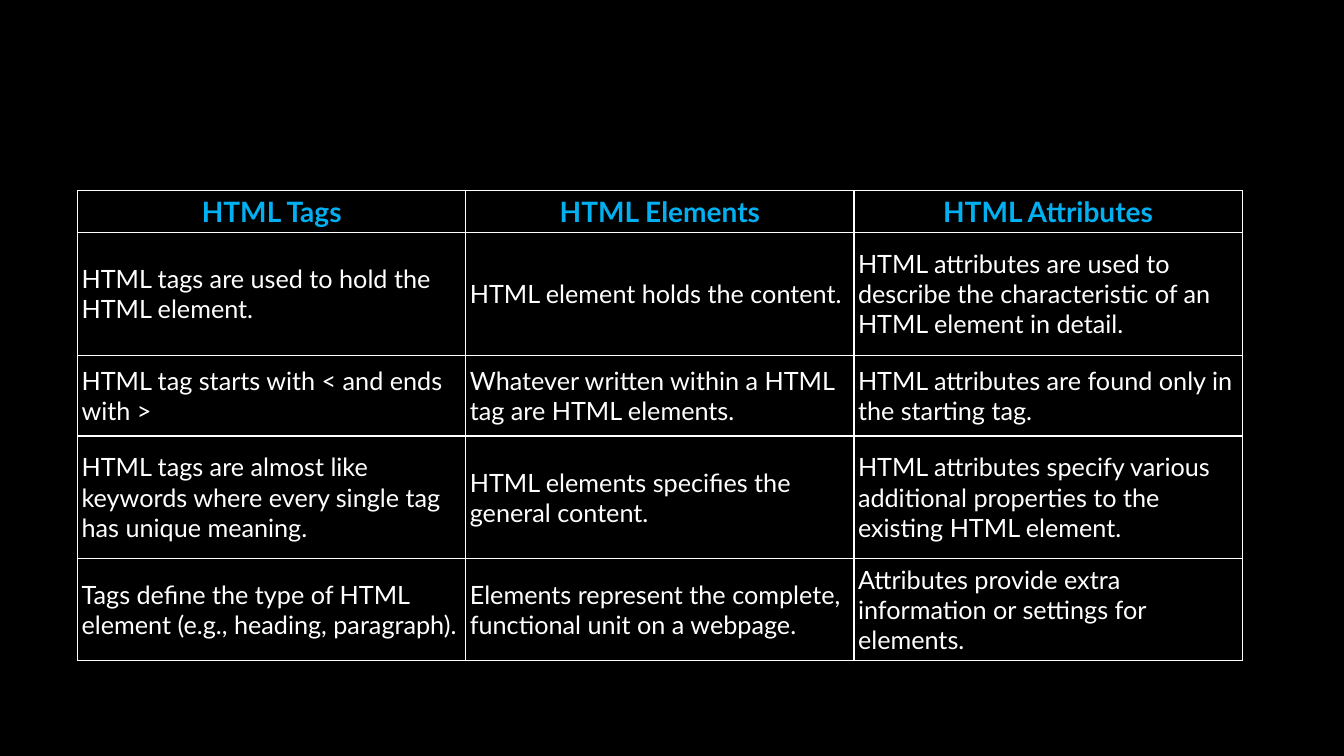
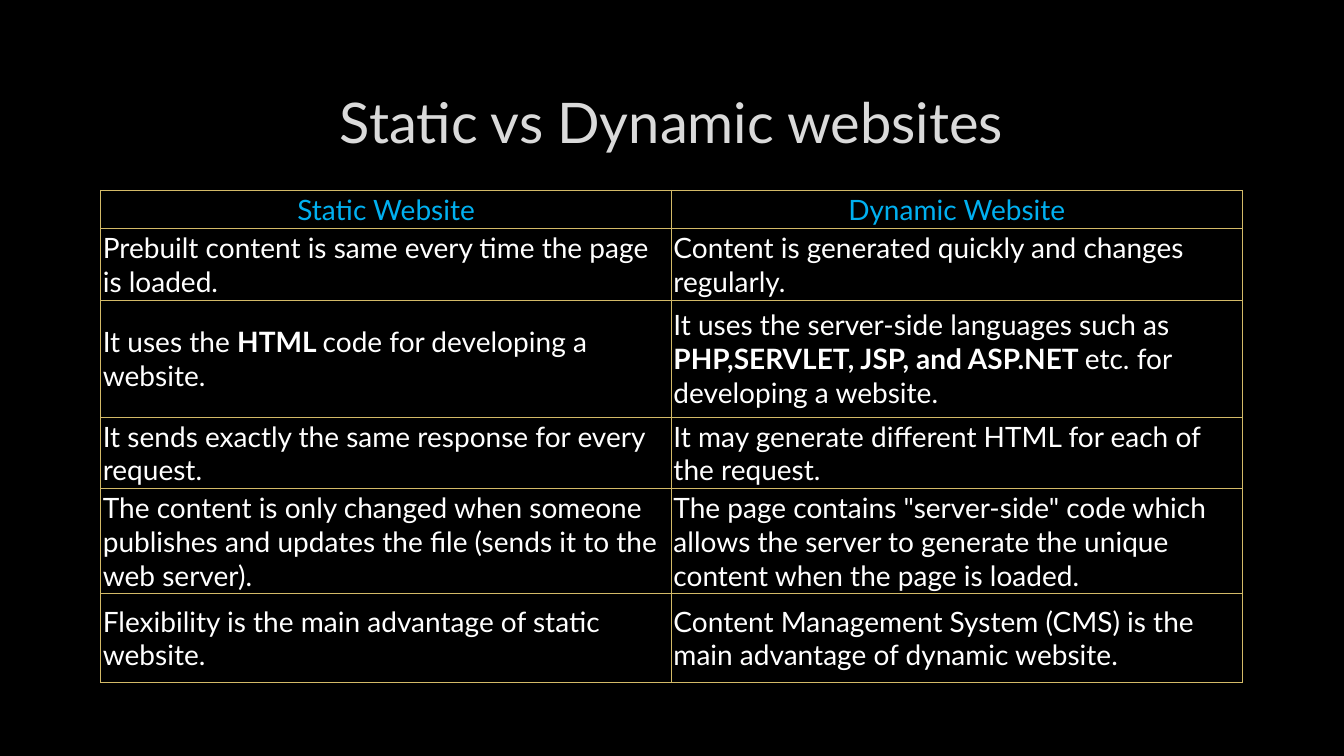
"""Build two dark slides with HTML and website comparison tables."""
import pptx
import pptx.dml.color
import pptx.enum.text
import pptx.oxml
import pptx.oxml.ns
import pptx.util

Inches, Pt = pptx.util.Inches, pptx.util.Pt
RGBColor = pptx.dml.color.RGBColor
PP_ALIGN = pptx.enum.text.PP_ALIGN
MIDDLE = pptx.enum.text.MSO_ANCHOR.MIDDLE

BLACK = RGBColor(0x00, 0x00, 0x00)
WHITE = RGBColor(0xFF, 0xFF, 0xFF)
SILVER = RGBColor(0xDA, 0xDA, 0xDA)
BLUE = RGBColor(0x00, 0xB0, 0xF0)
GOLD = RGBColor(0xD3, 0xBA, 0x68)
FONT = "Lato"


def add_run(p, text, size, color, bold=False):
    r = p.add_run()
    r.text = text
    for name, value in {"name": FONT, "size": Pt(size), "bold": bold}.items():
        setattr(r.font, name, value)
    r.font.color.rgb = color


def set_borders(cell, color):
    for side in ("lnL", "lnR", "lnT", "lnB"):
        cell._tc.get_or_add_tcPr().append(pptx.oxml.parse_xml(
            f'<a:{side} {pptx.oxml.ns.nsdecls("a")} w="{Pt(1)}"><a:solidFill>'
            f'<a:srgbClr val="{color}"/></a:solidFill></a:{side}>'))


SLIDES = [
    {
        "title": None, "left": 0.77, "col": 3.85, "border": WHITE,
        "heights": [0.39, 1.22, 0.8, 1.22, 1.01],
        "margin_x": 0.04, "margin_y": 0.05, "head_margin_y": 0.04,
        "head_bold": True, "size": 18,
        "rows": [
            ["HTML Tags", "HTML Elements", "HTML Attributes"],
            ["HTML tags are used to hold the HTML element.",
             "HTML element holds the content.",
             "HTML attributes are used to describe the characteristic of an HTML element in detail."],
            ["HTML tag starts with < and ends with >",
             "Whatever written within a HTML tag are HTML elements.",
             "HTML attributes are found only in the starting tag."],
            ["HTML tags are almost like keywords where every single tag has unique meaning.",
             "HTML elements specifies the general content.",
             "HTML attributes specify various additional properties to the existing HTML element."],
            ["Tags define the type of HTML element (e.g., heading, paragraph).",
             "Elements represent the complete, functional unit on a webpage.",
             "Attributes provide extra information or settings for elements."],
        ],
    },
    {
        "title": "Static vs Dynamic websites", "left": 1, "col": 5.66, "border": GOLD,
        "heights": [0.38, 0.71, 1.16, 0.71, 1.04, 0.88],
        "margin_x": 0.02, "margin_y": 0.02, "head_margin_y": 0.02,
        "head_bold": False, "size": 20,
        "rows": [
            ["Static Website", "Dynamic Website"],
            ["Prebuilt content is same every time the page is loaded.",
             "Content is generated quickly and changes regularly."],
            ["It uses the **HTML **code for developing a website.",
             "It uses the server-side languages such as **PHP,SERVLET, JSP, and ASP.NET **etc. for developing a website."],
            ["It sends exactly the same response for every request.",
             "It may generate different HTML for each of the request."],
            ["The content is only changed when someone publishes and updates the file (sends it to the web server).",
             'The page contains "server-side" code which allows the server to generate the unique content when the page is loaded.'],
            ["Flexibility is the main advantage of static website.",
             "Content Management System (CMS) is the main advantage of dynamic website."],
        ],
    },
]

prs = pptx.Presentation()
prs.slide_width, prs.slide_height = Inches(13.33), Inches(7.5)

for data in SLIDES:
    s = prs.slides.add_slide(prs.slide_layouts[6])
    s.background.fill.solid()
    s.background.fill.fore_color.rgb = BLACK

    if data["title"]:
        sp = s.shapes.add_textbox(Inches(1), Inches(0.67), Inches(11.32), Inches(1.06))
        tf = sp.text_frame
        tf.word_wrap = True
        tf.vertical_anchor = MIDDLE
        p = tf.paragraphs[0]
        p.alignment = PP_ALIGN.CENTER
        add_run(p, data["title"], 40, SILVER)

    rows, heights = data["rows"], data["heights"]
    cols = len(rows[0])
    table = s.shapes.add_table(
        len(rows), cols, Inches(data["left"]), Inches(1.89),
        Inches(data["col"] * cols), Inches(sum(heights))).table
    table.horz_banding = False
    for column in table.columns:
        column.width = Inches(data["col"])

    for i, texts in enumerate(rows):
        table.rows[i].height = Inches(heights[i])
        head = i == 0
        margin_x = Inches(data["margin_x"])
        margin_y = Inches(data["head_margin_y" if head else "margin_y"])
        for j, text in enumerate(texts):
            cell = table.cell(i, j)
            for name, value in {"margin_left": margin_x, "margin_right": margin_x,
                                "margin_top": margin_y, "margin_bottom": margin_y,
                                "vertical_anchor": MIDDLE}.items():
                setattr(cell, name, value)
            set_borders(cell, data["border"])
            cell.fill.solid()
            cell.fill.fore_color.rgb = BLACK
            p = cell.text_frame.paragraphs[0]
            if head:
                p.alignment = PP_ALIGN.CENTER
                add_run(p, text, 20, BLUE, data["head_bold"])
            else:
                for k, part in enumerate(text.split("**")):
                    add_run(p, part, data["size"], WHITE, k % 2 == 1)

prs.save("out.pptx")
